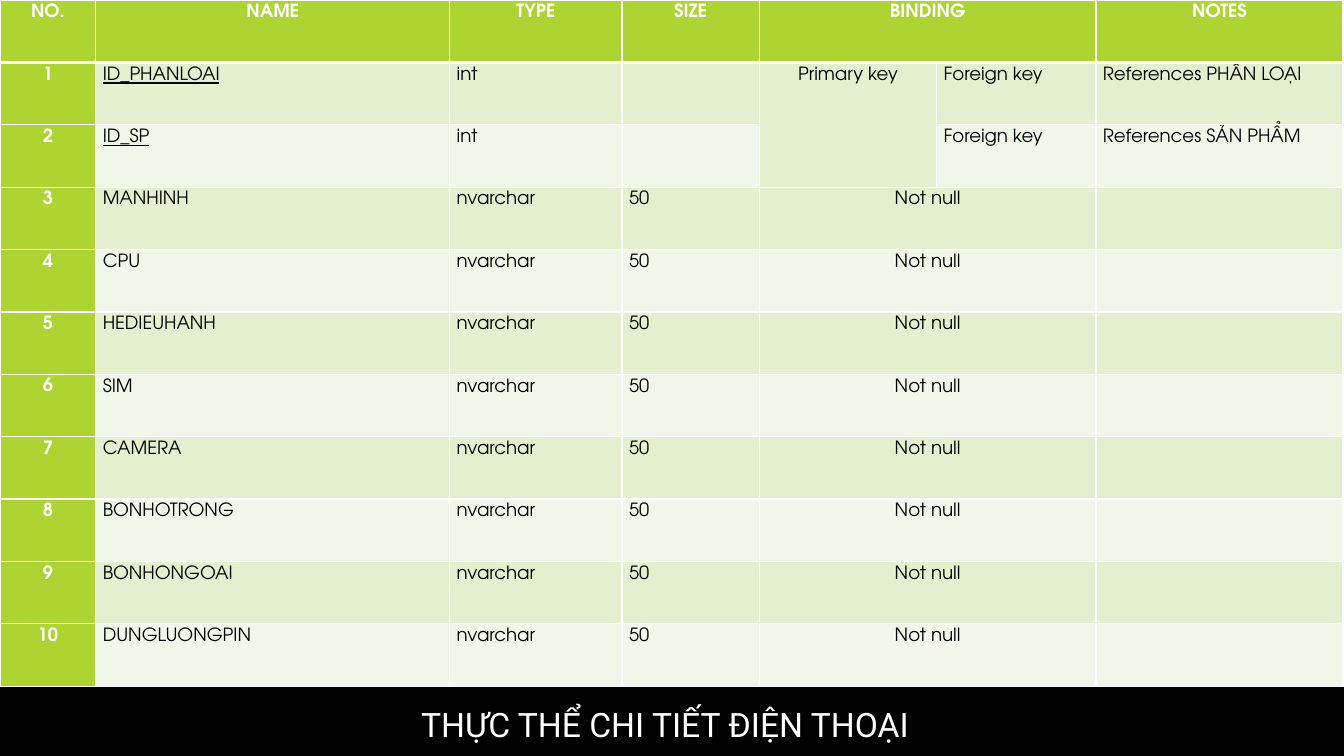
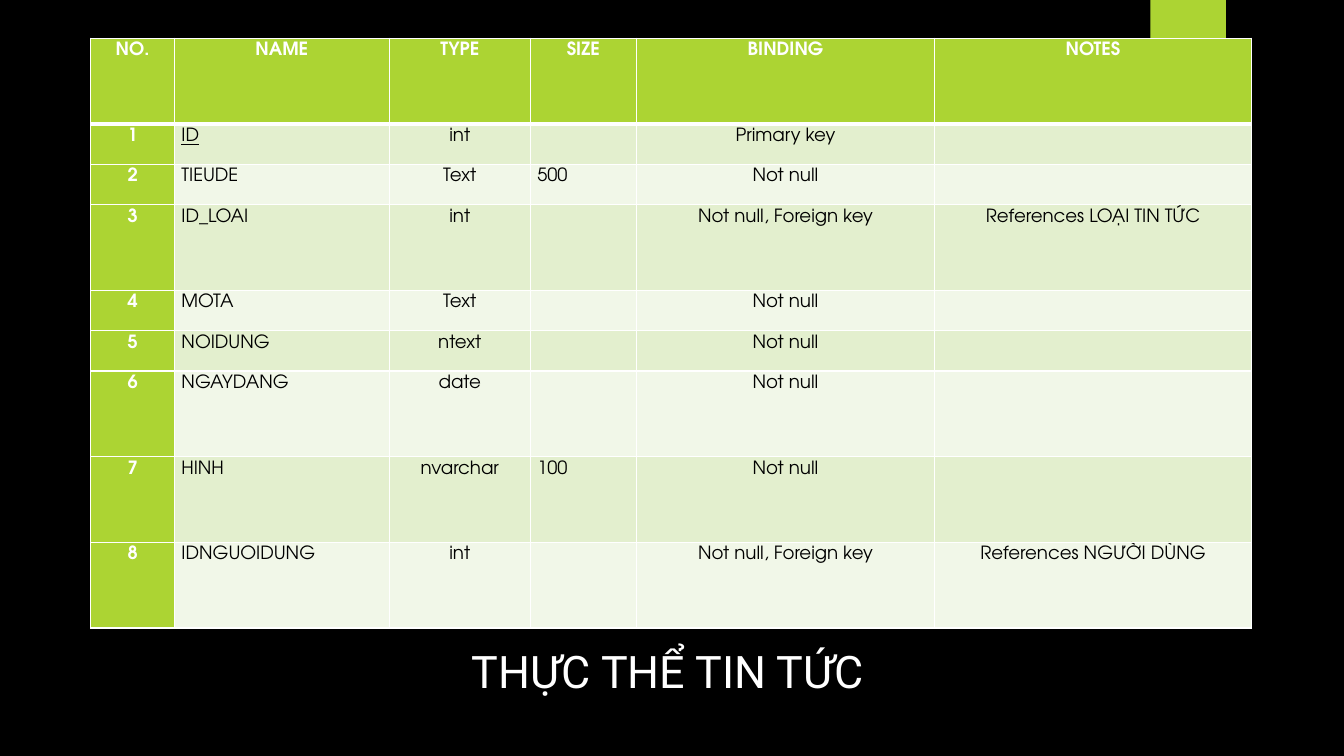
from lxml import etree
from pptx import Presentation
from pptx.dml.color import RGBColor
from pptx.enum.shapes import MSO_SHAPE
from pptx.enum.text import MSO_ANCHOR, MSO_AUTO_SIZE, PP_ALIGN
from pptx.oxml.ns import qn
from pptx.util import Inches, Pt

LEFT, CENTER = PP_ALIGN.LEFT, PP_ALIGN.CENTER
RECTANGLE = MSO_SHAPE.RECTANGLE
MIDDLE = MSO_ANCHOR.MIDDLE
FIT_SHAPE = MSO_AUTO_SIZE.SHAPE_TO_FIT_TEXT

BLACK = RGBColor(0x00, 0x00, 0x00)
WHITE = RGBColor(0xFF, 0xFF, 0xFF)
LIME = RGBColor(0xAC, 0xD4, 0x33)
BAND_DARK = RGBColor(0xE3, 0xEF, 0xCE)
BAND_LIGHT = RGBColor(0xF1, 0xF7, 0xE8)

TITLE_FONT = "Roboto"
TABLE_FONT = "TeX Gyre Adventor"
TITLE_ONLY = 5


class EntityDeck:
    def __init__(self):
        self.deck = Presentation()
        self.deck.slide_width = Inches(13.33)
        self.deck.slide_height = Inches(7.5)
        background = self.deck.slide_master.background.fill
        background.solid()
        background.fore_color.rgb = BLACK
        self.layout = self.deck.slide_layouts[TITLE_ONLY]
        self.slide = None

    def new_slide(self):
        self.slide = self.deck.slides.add_slide(self.layout)

    def corner_tab_on_layout(self):
        tab = self.slide.shapes.add_shape(
            RECTANGLE, Inches(11.41), 0, Inches(0.75), Inches(1.25))
        tab.shadow.inherit = False
        tab.fill.solid()
        tab.fill.fore_color.rgb = LIME
        tab.line.fill.background()
        self.layout.shapes.element.append(tab.element)

    def add_text(self, paragraph, text, font, size, color, bold=False, underline=False):
        run = paragraph.add_run()
        run.text = text
        run.font.name = font
        run.font.size = Pt(size)
        run.font.color.rgb = color
        run.font.bold = bold
        run.font.underline = underline

    def title(self, text, left, top, height, size):
        title = self.slide.shapes.title
        title.left, title.top = Inches(left), Inches(top)
        title.width, title.height = Inches(5.25), Inches(height)
        frame = title.text_frame
        frame.word_wrap = True
        frame.auto_size = FIT_SHAPE
        frame.vertical_anchor = MIDDLE
        paragraph = frame.paragraphs[0]
        paragraph.alignment = CENTER
        self.add_text(paragraph, text, TITLE_FONT, size, WHITE)

    def borders(self, cell, top, bottom):
        properties = cell._tc.get_or_add_tcPr()
        widths = {"a:lnL": 1, "a:lnR": 1, "a:lnT": top, "a:lnB": bottom}
        for position, (tag, width) in enumerate(widths.items()):
            line = etree.Element(qn(tag), w=str(Pt(width)))
            fill = etree.SubElement(line, qn("a:solidFill"))
            etree.SubElement(fill, qn("a:srgbClr"), val=str(WHITE))
            properties.insert(position, line)

    def cell(self, cell, text, row, column, alignment, underline):
        heading = row == 0 or column == 0
        cell.margin_left = cell.margin_right = Inches(0.07)
        cell.margin_top = cell.margin_bottom = 0
        cell.fill.solid()
        cell.fill.fore_color.rgb = (
            LIME if heading else BAND_DARK if row % 2 else BAND_LIGHT)
        self.borders(cell, 3 if row == 1 else 1, 3 if row == 0 else 1)
        if text:
            paragraph = cell.text_frame.paragraphs[0]
            paragraph.alignment = CENTER if heading else alignment
            paragraph.line_spacing = 1.25
            paragraph.space_before = Pt(6)
            paragraph.space_after = Pt(8)
            self.add_text(paragraph, text, TABLE_FONT, 13,
                          WHITE if heading else BLACK, heading, underline)

    def table(self, left, top, widths, heights, rows, alignments, keys, merges=()):
        table = self.slide.shapes.add_table(
            len(rows), len(widths), Inches(left), Inches(top),
            Inches(sum(widths)), Inches(sum(heights))).table
        table.first_row = table.horz_banding = False
        for column, width in zip(table.columns, widths):
            column.width = Inches(width)
        for row, height in zip(table.rows, heights):
            row.height = Inches(height)
        for r, values in enumerate(rows):
            for c, value in enumerate(values):
                self.cell(table.cell(r, c), value, r, c, alignments[c],
                          c == 1 and value in keys)
        for first, last in merges:
            table.cell(*first).merge(table.cell(*last))


deck = EntityDeck()

deck.new_slide()
deck.corner_tab_on_layout()
deck.title("THỰC THỂ CHI TIẾT ĐIỆN THOẠI", 3.97, 6.93, 0.5, 24)
phone_fields = ["MANHINH", "CPU", "HEDIEUHANH", "SIM", "CAMERA",
                "BONHOTRONG", "BONHONGOAI", "DUNGLUONGPIN"]
phone_rows = [
    ("NO.", "NAME", "TYPE", "SIZE", "BINDING", "", "NOTES"),
    ("1", "ID_PHANLOAI", "int", "", "Primary key", "Foreign key", "References PHÂN LOẠI"),
    ("2", "ID_SP", "int", "", "", "Foreign key", "References SẢN PHẨM"),
] + [(str(number), field, "nvarchar", "50", "Not null", "", "")
     for number, field in enumerate(phone_fields, 3)]
binding_merges = [((row, 4), (row, 5)) for row in (0, *range(3, len(phone_rows)))]
deck.table(
    0, 0, [0.95, 3.51, 1.71, 1.36, 1.76, 1.58, 2.45],
    [6.81 / len(phone_rows)] * len(phone_rows), phone_rows,
    [CENTER, LEFT, LEFT, LEFT, CENTER, LEFT, LEFT],
    {"ID_PHANLOAI", "ID_SP"}, [((1, 4), (2, 4))] + binding_merges)

deck.new_slide()
deck.title("THỰC THỂ TIN TỨC", 4, 6.33, 0.64, 32)
news_fields = [
    ("ID", "int", "", "Primary key", ""),
    ("TIEUDE", "Text", "500", "Not null", ""),
    ("ID_LOAI", "int", "", "Not null, Foreign key", "References LOẠI TIN TỨC"),
    ("MOTA", "Text", "", "Not null", ""),
    ("NOIDUNG", "ntext", "", "Not null", ""),
    ("NGAYDANG", "date", "", "Not null", ""),
    ("HINH", "nvarchar", "100", "Not null", ""),
    ("IDNGUOIDUNG", "int", "", "Not null, Foreign key", "References NGƯỜI DÙNG"),
]
news_rows = [("NO.", "NAME", "TYPE", "SIZE", "BINDING", "NOTES")] + [
    (str(number), *field) for number, field in enumerate(news_fields, 1)]
TALL, SHORT = 0.85, 0.4
deck.table(
    0.9, 0.38, [0.83, 2.13, 1.4, 1.05, 2.96, 3.14],
    [TALL, SHORT, SHORT, TALL, SHORT, SHORT, TALL, TALL, TALL], news_rows,
    [CENTER, LEFT, CENTER, LEFT, CENTER, CENTER], {"ID"})

deck.deck.save("out.pptx")
